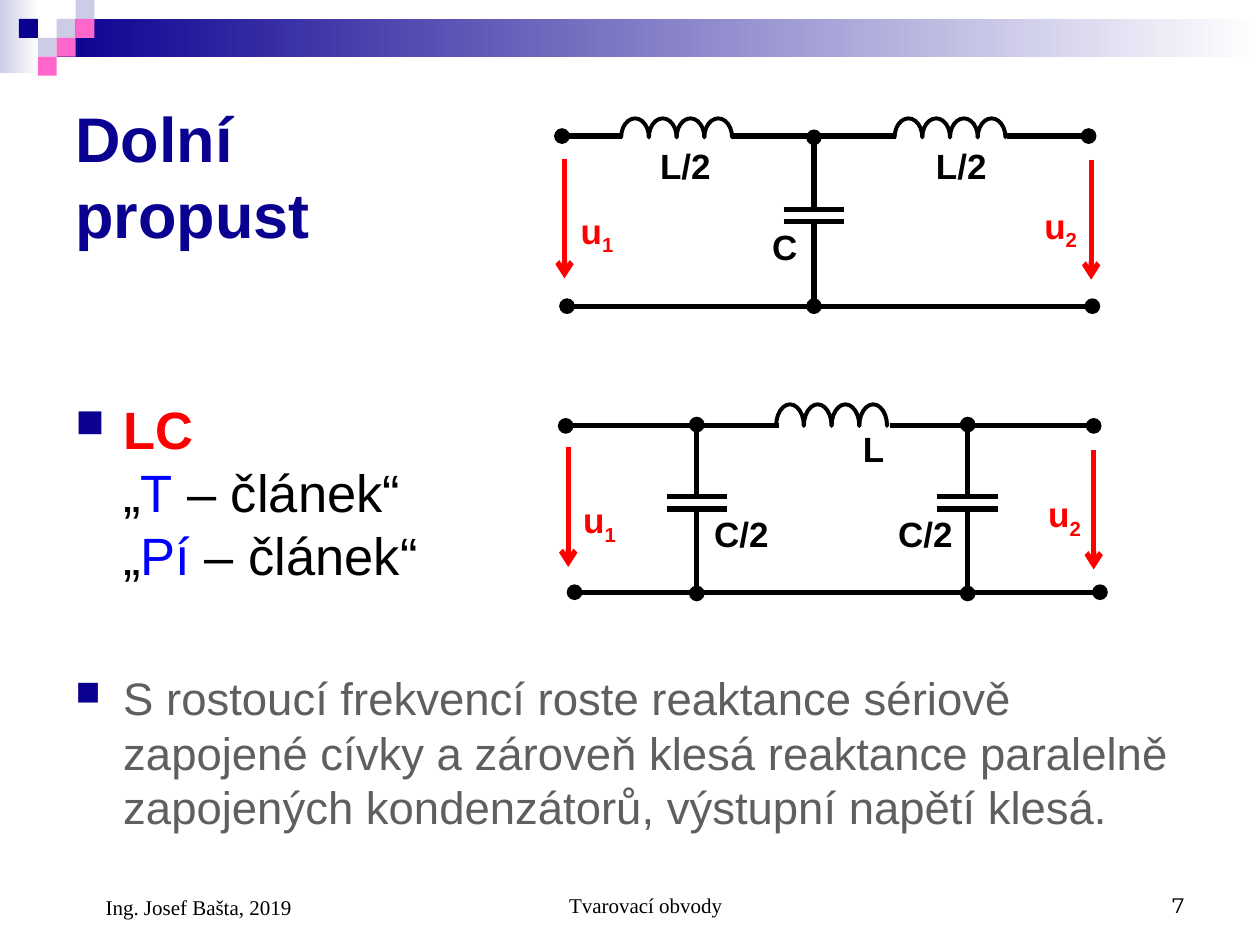
import pptx
import pptx.util
import pptx.dml.color
import pptx.enum.shapes
import pptx.enum.text
import pptx.oxml.ns
import lxml.etree

SHAPES = pptx.enum.shapes.MSO_SHAPE
ALIGN = pptx.enum.text.PP_ALIGN
ANCHOR = pptx.enum.text.MSO_ANCHOR
colour = pptx.dml.color.RGBColor.from_string
qn = pptx.oxml.ns.qn
NAVY, LAVENDER, PINK = "0B0191", "CCCCE6", "FF66CC"
BLACK, RED, BLUE, GREY, WHITE = "000000", "FF0000", "0000FF", "5F5F5F", "FFFFFF"

deck = pptx.Presentation()
deck.slide_width = pptx.util.Inches(10)
deck.slide_height = pptx.util.Inches(7.5)
page = deck.slides.add_slide(deck.slide_layouts[6])
# The page is a grid of 10 columns by 7.5 rows
column = deck.slide_width / 10
row = deck.slide_height / 7.5


def wire(x1, y1, x2, y2, head=None, tail=None, ink=BLACK):
    """Draw a line between two grid points, with optional end marks."""
    line = page.shapes.add_connector(
        pptx.enum.shapes.MSO_CONNECTOR.STRAIGHT,
        int(x1 * column), int(y1 * row), int(x2 * column), int(y2 * row))
    line.line.color.rgb = colour(ink)
    line.line.width = pptx.util.Pt(3)
    outline = line.line._get_or_add_ln()
    for tag, mark in (("a:headEnd", head), ("a:tailEnd", tail)):
        if mark:
            lxml.etree.SubElement(outline, qn(tag), type=mark)
    lxml.etree.SubElement(line._element.spPr, qn("a:effectLst"))


def write(place, spans, size, font="Arial", bold=None, align=ALIGN.LEFT,
          anchor=ANCHOR.TOP, indent=0, bullet=False):
    """Add a one-paragraph text box; a span is (text, colour, extra attributes)."""
    left, top, width, height = place
    box = page.shapes.add_textbox(int(left * column), int(top * row),
                                  int(width * column), int(height * row))
    frame = box.text_frame
    frame.word_wrap = True
    frame.vertical_anchor = anchor
    para = frame.paragraphs[0]
    para.alignment = align
    properties = para._p.get_or_add_pPr()
    properties.set("marL", str(int(indent * column)))
    if bullet:
        properties.set("indent", str(int(-indent * column)))
        tint = lxml.etree.SubElement(properties, qn("a:buClr"))
        lxml.etree.SubElement(tint, qn("a:srgbClr"), val=NAVY)
        lxml.etree.SubElement(properties, qn("a:buSzPct"), val="75000")
        lxml.etree.SubElement(properties, qn("a:buChar"), char="■")
    para.font.size = pptx.util.Pt(size)
    para.font.name = font
    para.font.bold = bold
    for text, ink, extra in spans:
        if text == "\n":
            para.add_line_break()
            continue
        span = para.add_run()
        span.text = text
        span.font.color.rgb = colour(ink)
        for name, value in extra.items():
            span.font._element.set(name, value)


# Header: two fading bands and a stair of squares
for place, ink in (((0, 0, 0.31, 0.58), LAVENDER), ((0.45, 0.15, 9.55, 0.3), NAVY)):
    left, top, width, height = place
    band = page.shapes.add_shape(SHAPES.RECTANGLE, int(left * column), int(top * row),
                                 int(width * column), int(height * row))
    band.shadow.inherit = False
    band.line.fill.background()
    band.fill.gradient()
    band.fill.gradient_angle = 0
    for stop, shade in zip(band.fill.gradient_stops, (ink, WHITE)):
        stop.color.rgb = colour(shade)

side = 0.15
for across, down, ink in ((3, 1, LAVENDER), (4, 0, LAVENDER), (4, 1, PINK), (2, 2, LAVENDER),
                          (1, 1, NAVY), (3, 2, PINK), (2, 3, PINK)):
    square = page.shapes.add_shape(SHAPES.RECTANGLE, int(across * side * column),
                                   int(down * side * row), int(side * column), int(side * row))
    square.shadow.inherit = False
    square.fill.solid()
    square.fill.fore_color.rgb = colour(ink)
    square.line.fill.background()

# Main texts
write((0.5, 0.5, 2.8, 1.78), [("Dolní propust", NAVY, {})], 36, bold=True,
      anchor=ANCHOR.MIDDLE)
write((0.5, 3.1, 3.5, 1.87),
      [("LC", RED, {"b": "1"}), ("\n", BLACK, {}),
       ("„", BLACK, {}), ("T", BLUE, {}), (" – článek“", BLACK, {}), ("\n", BLACK, {}),
       ("„", BLACK, {}), ("Pí", BLUE, {}), (" – článek“", BLACK, {})],
      30, indent=0.38, bullet=True)
write((0.5, 5.27, 9, 1.41),
      [("S rostoucí frekvencí roste reaktance sériově zapojené cívky a zároveň klesá "
        "reaktance paralelně zapojených kondenzátorů, výstupní napětí klesá.", GREY, {})],
      26, indent=0.38, bullet=True)

# Horizontal wires: T circuit, then Pi circuit
for x1, x2, y, head, tail in (
        (4.46, 4.94, 1.08, "oval", None), (5.81, 7.11, 1.08, None, None),
        (7.99, 8.64, 1.08, None, "oval"), (4.5, 8.67, 2.43, "oval", "oval"),
        (4.49, 6.18, 3.38, "oval", None), (7.06, 8.68, 3.38, None, "oval"),
        (4.56, 8.73, 4.7, "oval", "oval")):
    wire(x1, y, x2, y, head, tail)

# Capacitors, each hung from its upper node
for x, y in ((6.46, 1.09), (5.53, 3.37), (7.68, 3.37)):
    wire(x, y, x, y + 0.55, head="oval")
    wire(x, y + 0.68, x, y + 1.34, tail="oval")
    for plate in (0.57, 0.67):
        wire(x - 0.24, y + plate, x + 0.24, y + plate)

# Coils of four turns
turn = 0.22
for left, top, height in ((4.93, 0.94, 0.3), (7.1, 0.94, 0.3), (6.16, 3.21, 0.34)):
    for index in range(4):
        arc = page.shapes.add_shape(
            SHAPES.BLOCK_ARC, int((left + index * turn) * column), int(top * row),
            int(turn * column), int(height * row))
        arc.shadow.inherit = False
        for number, value in enumerate((107.89, 0.11, 0)):
            arc.adjustments[number] = value
        arc.fill.solid()
        arc.fill.fore_color.rgb = colour("CBBDFF")
        arc.line.color.rgb = colour(BLACK)
        arc.line.width = pptx.util.Pt(2.25)

# Voltages
for x, y in ((4.48, 1.26), (8.66, 1.27), (4.51, 3.55), (8.68, 3.57)):
    wire(x, y, x, y + 0.95, tail="arrow", ink=RED)
for x, y, number in ((4.51, 1.61, "1"), (8.19, 1.57, "2"), (4.53, 3.91, "1"), (8.22, 3.86, "2")):
    write((x, y, 0.56, 0.48), [("u", RED, {}), (number, RED, {"baseline": "-25000"})],
          20, bold=True)

# Component names
for x, y, name in ((5.14, 1.1, "L/2"), (7.33, 1.1, "L/2"), (6.03, 1.74, "C"),
                   (6.75, 3.34, "L"), (5.57, 4.02, "C/2"), (7.03, 4.02, "C/2")):
    write((x, y, 0.67, 0.44), [(name, BLACK, {})], 20, bold=True)

# Footer
for place, text, font, align, indent in (
        ((0.5, 6.83, 2.33, 0.52), "Ing. Josef Bašta, 2019", "Times New Roman", ALIGN.LEFT, 0.24),
        ((3.42, 6.83, 3.17, 0.5), "Tvarovací obvody", "Times New Roman", ALIGN.CENTER, 0.24),
        ((7.17, 6.83, 2.33, 0.5), "7", "Montserrat", ALIGN.RIGHT, 0)):
    write(place, [(text, BLACK, {})], 12, font, align=align, anchor=ANCHOR.BOTTOM, indent=indent)

deck.save("out.pptx")
